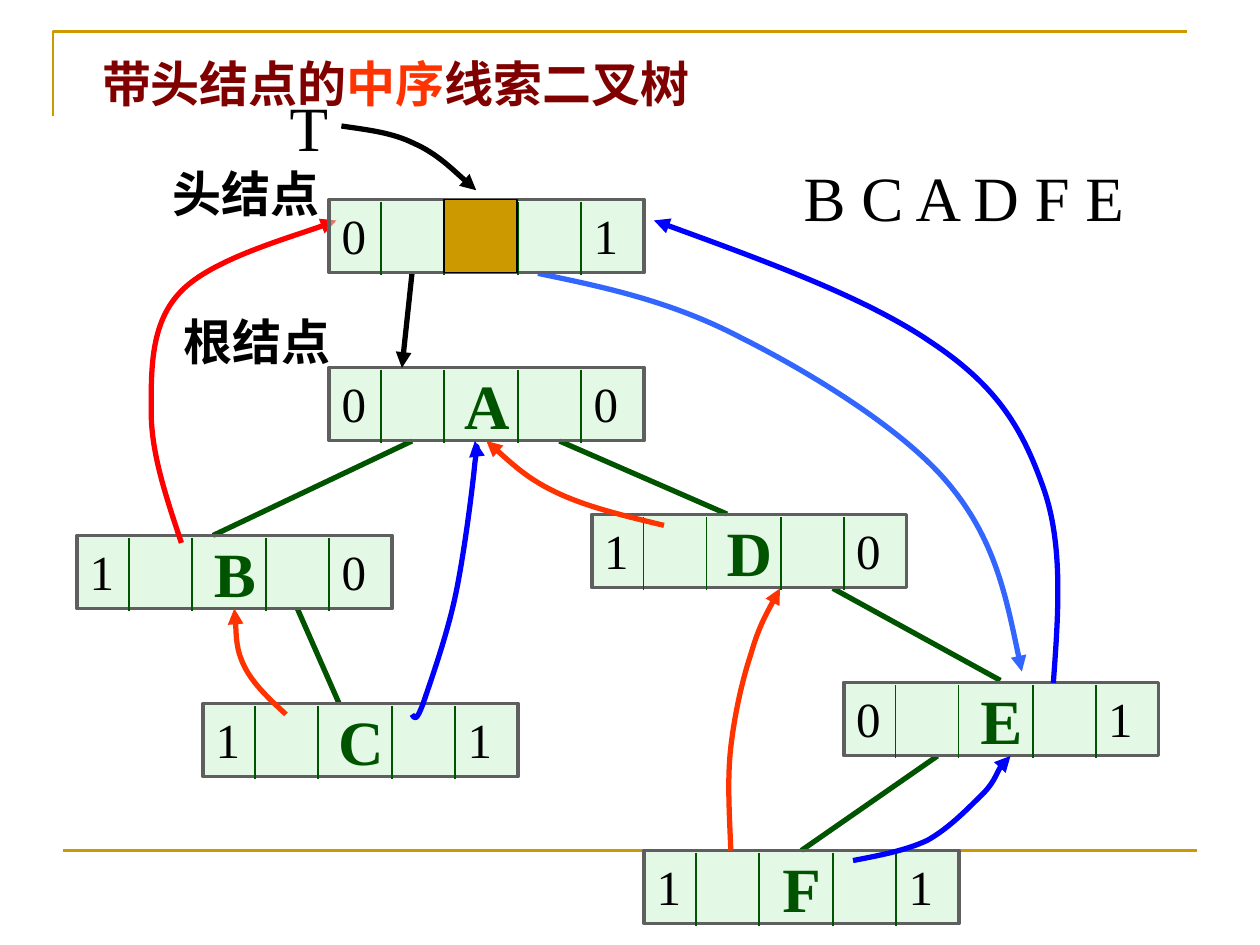
from dataclasses import dataclass

from lxml import etree
from pptx import Presentation
from pptx.dml.color import RGBColor
from pptx.enum.shapes import MSO_CONNECTOR, MSO_SHAPE
from pptx.enum.text import MSO_ANCHOR, PP_ALIGN
from pptx.oxml.ns import qn
from pptx.util import Inches, Pt

LINE, RECT = MSO_CONNECTOR.STRAIGHT, MSO_SHAPE.RECTANGLE
TOP, MID = MSO_ANCHOR.TOP, MSO_ANCHOR.MIDDLE
LEFT, CENTER = PP_ALIGN.LEFT, PP_ALIGN.CENTER


@dataclass(frozen=True)
class Theme:
    font: str = "Times New Roman"
    gold: str = "CC9900"
    green: str = "005400"
    pale: str = "CAF2CE"
    gray: str = "5F5F5F"
    maroon: str = "800000"
    orange: str = "FF3300"
    red: str = "FF0000"
    blue: str = "0000FF"
    sky: str = "3366FF"
    black: str = "000000"
    small: int = 28
    large: int = 36
    thin: float = 1
    rule: float = 1.5
    edge: float = 2
    bold: float = 3


T = Theme()

# Node grid: twelve columns and rows to the inch
STEP, SHIFT = 1 / 12, 0.03
WIDE, HIGH, CELL = 2.5, 0.58, 0.5
SPLITS = (0.41, 0.91, 1.5, 2.0)

# Name, column, row, left tag, right tag
NODES = (
    ("A", 31, 35, "0", "0"),
    ("B", 7, 51, "1", "0"),
    ("D", 56, 49, "1", "0"),
    ("C", 19, 67, "1", "1"),
    ("E", 80, 65, "0", "1"),
    ("F", 61, 81, "1", "1"),
)
HEAD = ("", 31, 19, "0", "1")

# Child links: start and end
LINKS = (
    ((3.27, 3.5), (1.69, 4.25)),
    ((4.44, 3.5), (5.77, 4.08)),
    ((2.36, 4.83), (2.69, 5.58)),
    ((6.61, 4.67), (7.94, 5.4)),
    ((7.44, 6), (6.36, 6.75)),
)

# Threads: colour, then a start point and three points for each curve
THREADS = (
    (T.orange, (2.27, 5.67), (2.14, 5.55), (2.01, 5.43), (1.94, 5.29),
     (1.87, 5.15), (1.87, 4.9), (1.86, 4.83)),
    (T.orange, (5.8, 6.75), (5.79, 6.47), (5.77, 6.19), (5.8, 5.93),
     (5.83, 5.67), (5.89, 5.4), (5.96, 5.19),
     (6.02, 4.98), (6.11, 4.82), (6.19, 4.67)),
    (T.blue, (6.77, 6.83), (6.98, 6.79), (7.19, 6.75), (7.36, 6.67),
     (7.52, 6.58), (7.66, 6.44), (7.77, 6.33),
     (7.89, 6.22), (7.98, 5.97), (8.02, 6)),
    (T.orange, (5.27, 4.17), (4.98, 4.1), (4.68, 4.03), (4.44, 3.92),
     (4.2, 3.81), (4.03, 3.65), (3.86, 3.5)),
    (T.blue, (3.27, 5.67), (3.29, 5.7), (3.3, 5.74), (3.36, 5.58),
     (3.41, 5.43), (3.54, 5.07), (3.61, 4.75),
     (3.68, 4.43), (3.75, 3.88), (3.77, 3.67),
     (3.8, 3.46), (3.73, 3.44), (3.77, 3.5)),
    (T.red, (1.44, 4.31), (1.32, 3.95), (1.2, 3.6), (1.2, 3.27),
     (1.2, 2.94), (1.19, 2.56), (1.44, 2.31),
     (1.68, 2.06), (2.49, 1.83), (2.67, 1.75)),
    (T.blue, (8.36, 5.42), (8.4, 4.87), (8.44, 4.32), (8.28, 3.87),
     (8.12, 3.42), (7.93, 3.08), (7.41, 2.73),
     (6.89, 2.37), (6.04, 2.06), (5.19, 1.75)),
    (T.sky, (4.27, 2.17), (4.8, 2.28), (5.32, 2.39), (5.86, 2.67),
     (6.4, 2.94), (7.15, 3.39), (7.52, 3.83),
     (7.9, 4.28), (8, 4.81), (8.11, 5.33)),
)
POINTER = (T.black, (2.71, 1), (2.91, 1.03), (3.11, 1.05), (3.29, 1.14),
           (3.47, 1.22), (3.74, 1.48), (3.78, 1.51))


def paint(line, color, width, arrow=False):
    line.color.rgb = RGBColor.from_string(color)
    line.width = Pt(width)
    if arrow:
        etree.SubElement(line.color._xFill.getparent(), qn("a:tailEnd"),
                         type="triangle")


def style(font, size, color, bold=False):
    font.name, font.size, font.bold = T.font, Pt(size), bold
    font.color.rgb = RGBColor.from_string(color)


def stroke(slide, start, end, color, width, arrow=False):
    item = slide.shapes.add_connector(
        LINE, *(Inches(n) for n in (*start, *end)))
    paint(item.line, color, width, arrow)
    etree.SubElement(item._element.spPr, qn("a:effectLst"))


def trace(slide, points, color, width, arrow=False):
    """Draw an open outline through the points."""
    spots = [(Inches(x), Inches(y)) for x, y in points]
    pen = slide.shapes.build_freeform(*spots[0])
    pen.add_line_segments(spots[1:], close=False)
    item = pen.convert_to_shape()
    item.shadow.inherit = False
    item.fill.background()
    paint(item.line, color, width, arrow)
    return item


def curve(slide, color, *points):
    """Draw an arrow whose points after the first form cubic curves."""
    item = trace(slide, points, color, T.bold, arrow=True)
    route = next(item._element.iter(qn("a:path")))
    legs = route.findall(qn("a:lnTo"))
    for i in range(0, len(legs), 3):
        bend = etree.SubElement(route, qn("a:cubicBezTo"))
        for leg in legs[i:i + 3]:
            bend.append(leg[0])
            route.remove(leg)


def box(slide, left, top, width, fill, edge, weight):
    item = slide.shapes.add_shape(
        RECT, Inches(left), Inches(top), Inches(width), Inches(HIGH))
    item.shadow.inherit = False
    item.fill.solid()
    item.fill.fore_color.rgb = RGBColor.from_string(fill)
    paint(item.line, edge, weight)
    return item


def label(slide, text, left, top, width, size=T.small, bold=False):
    item = slide.shapes.add_textbox(
        Inches(left), Inches(top), Inches(width), Inches(size / 50))
    frame = item.text_frame
    frame.word_wrap = True
    frame.text = text
    style(frame.paragraphs[0].runs[0].font, size, T.black, bold)


def node(slide, name, col, row, *tags):
    """Draw a five-cell record with a tag at each end."""
    left, top = SHIFT + col * STEP, row * STEP
    item = box(slide, left, top, WIDE, T.pale, T.gray, T.edge)
    tint = next(item._element.spPr.iter(qn("a:srgbClr")))
    etree.SubElement(tint, qn("a:alpha"), val="50000")
    if name:
        frame = item.text_frame
        frame.word_wrap = False
        frame.vertical_anchor = MID
        frame.text = name
        frame.paragraphs[0].alignment = CENTER
        style(frame.paragraphs[0].runs[0].font, T.large, T.green, True)
    for split in SPLITS:
        x = left + split
        stroke(slide, (x, top + 0.02), (x, top + 0.6), T.green, T.thin)
    for tag, x in zip(tags, (left, left + WIDE - CELL)):
        label(slide, tag, x, top, CELL)
    return left, top


def heading(slide):
    title = slide.shapes.title
    title.left, title.top = Inches(0.71), Inches(0.28)
    title.width, title.height = Inches(5.2), Inches(0.66)
    frame = title.text_frame
    frame.word_wrap, frame.vertical_anchor = True, TOP
    line = frame.paragraphs[0]
    line.alignment, line.line_spacing = LEFT, 1.2
    for text, color in (("带头结点的", T.maroon), ("中序", T.orange),
                        ("线索二叉树", T.maroon)):
        run = line.add_run()
        run.text = text
        style(run.font, T.small, color, True)


def main():
    deck = Presentation()
    deck.slide_width, deck.slide_height = Inches(10), Inches(7.5)
    slide = deck.slides.add_slide(deck.slide_layouts[5])

    # Frame rules and title
    trace(slide, ((0.42, 0.92), (0.42, 0.25), (9.42, 0.25)), T.gold, T.rule)
    stroke(slide, (0.5, 6.75), (9.5, 6.75), T.gold, T.rule)
    heading(slide)

    # Tree with its threads
    for start, end in LINKS:
        stroke(slide, start, end, T.green, T.bold)
    for item in NODES:
        node(slide, *item)
    for item in THREADS:
        curve(slide, *item)

    # Head node and its pointers
    stroke(slide, (3.27, 2.17), (3.19, 2.92), T.black, T.bold, arrow=True)
    left, top = node(slide, *HEAD)
    box(slide, left + SPLITS[1], top, HIGH, T.gold, T.black, T.thin)
    curve(slide, *POINTER)

    # Captions and visiting order
    label(slide, "根结点", 1.36, 2.42, 1.67, bold=True)
    label(slide, "头结点", 1.27, 1.25, 1.67, bold=True)
    label(slide, "T", 2.2, 0.65, 1.8, T.large)
    label(slide, "B C A D F E", 6.28, 1.21, 3.23, T.large)
    deck.save("out.pptx")


if __name__ == "__main__":
    main()
